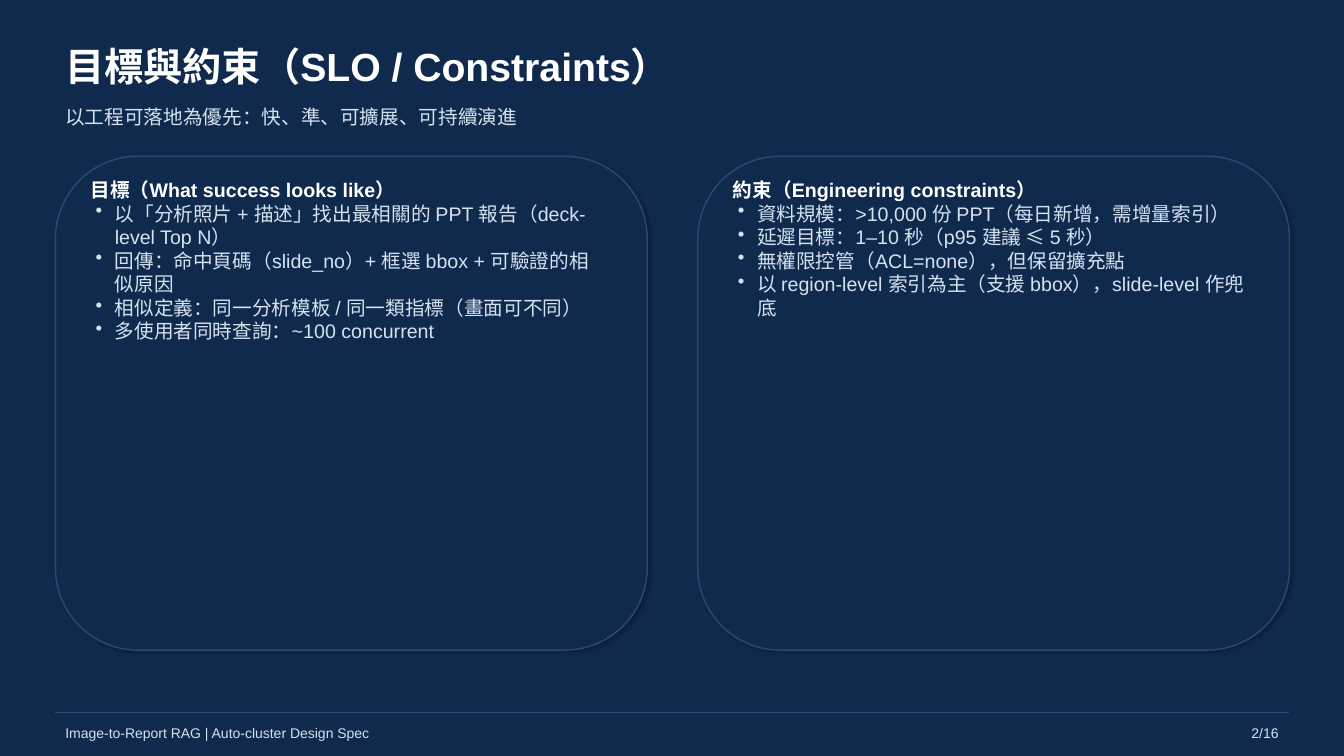
from dataclasses import dataclass

from lxml import etree
from pptx import Presentation
from pptx import util as u
from pptx.dml.color import RGBColor
from pptx.enum import shapes, text
from pptx.oxml import ns

NAVY = RGBColor(0x0F, 0x2A, 0x4D)
OUTLINE = RGBColor(0x2A, 0x4A, 0x74)
WHITE = RGBColor(0xFF, 0xFF, 0xFF)
PALE = RGBColor(0xD6, 0xE2, 0xF0)
FONT = "Arial"

MARGIN = 0.55
CONTENT_WIDTH = 12.23
CARD_TOP, CARD_WIDTH, CARD_HEIGHT = 1.55, 5.87, 4.9
CARD_STEP = 6.37
BULLET_INDENT = 0.19


@dataclass
class Label:
    wording: str
    left: float
    top: float
    width: float
    height: float
    size: int
    color: RGBColor = PALE
    bold: bool = False
    align: text.PP_ALIGN = text.PP_ALIGN.LEFT


@dataclass
class Card:
    heading: str
    bullets: list[str]


LABELS = [
    Label("目標與約束（SLO / Constraints）", MARGIN, 0.35, CONTENT_WIDTH, 0.6, 28, WHITE, True),
    Label("以工程可落地為優先：快、準、可擴展、可持續演進", MARGIN, 0.98, CONTENT_WIDTH, 0.35, 14),
    Label("Image-to-Report RAG | Auto-cluster Design Spec", MARGIN, 7.15, 10.73, 0.25, 10),
    Label("2/16", 11.78, 7.15, 1, 0.25, 10, align=text.PP_ALIGN.RIGHT),
]

CARDS = [
    Card("目標（What success looks like）", [
        "以「分析照片 + 描述」找出最相關的 PPT 報告（deck-level Top N）",
        "回傳：命中頁碼（slide_no）+ 框選 bbox + 可驗證的相似原因",
        "相似定義：同一分析模板 / 同一類指標（畫面可不同）",
        "多使用者同時查詢：~100 concurrent",
    ]),
    Card("約束（Engineering constraints）", [
        "資料規模：>10,000 份 PPT（每日新增，需增量索引）",
        "延遲目標：1–10 秒（p95 建議 ≤ 5 秒）",
        "無權限控管（ACL=none），但保留擴充點",
        "以 region-level 索引為主（支援 bbox），slide-level 作兜底",
    ]),
]


def add_label(slide, label: Label):
    """Add a text box and return its text frame."""
    box = slide.shapes.add_textbox(u.Inches(label.left), u.Inches(label.top),
                                   u.Inches(label.width), u.Inches(label.height))
    frame = box.text_frame
    frame.word_wrap = True
    frame.vertical_anchor = text.MSO_ANCHOR.MIDDLE
    frame.text = label.wording
    for paragraph in frame.paragraphs:
        paragraph.alignment = label.align
        for run in paragraph.runs:
            run.font.name = FONT
            run.font.size = u.Pt(label.size)
            run.font.bold = label.bold
            run.font.color.rgb = label.color
    return frame


def add_shadow(shape) -> None:
    """Give the shape a soft shadow towards the lower right."""
    shape.shadow.inherit = False
    effects = shape._element.spPr.find(ns.qn("a:effectLst"))
    shadow = etree.SubElement(effects, ns.qn("a:outerShdw"), blurRad=str(u.Pt(3)),
                              dist=str(u.Pt(2)), dir=str(45 * 60000))
    color = etree.SubElement(shadow, ns.qn("a:srgbClr"), val="000000")
    etree.SubElement(color, ns.qn("a:alpha"), val="25000")


def add_bullet(paragraph) -> None:
    """Set a hanging bullet."""
    properties = paragraph._p.get_or_add_pPr()
    properties.set("marL", str(u.Inches(BULLET_INDENT)))
    properties.set("indent", str(-u.Inches(BULLET_INDENT)))
    etree.SubElement(properties, ns.qn("a:buChar"), char="•")


def add_card(slide, card: Card, left: float) -> None:
    """Draw a rounded panel with its heading and bullet list."""
    panel = slide.shapes.add_shape(
        shapes.MSO_SHAPE.ROUNDED_RECTANGLE, u.Inches(left), u.Inches(CARD_TOP),
        u.Inches(CARD_WIDTH), u.Inches(CARD_HEIGHT))
    panel.fill.solid()
    panel.fill.fore_color.rgb = NAVY
    panel.line.color.rgb = OUTLINE
    panel.line.width = u.Pt(1)
    add_shadow(panel)

    add_label(slide, Label(card.heading, left + 0.25, CARD_TOP + 0.18,
                           CARD_WIDTH - 0.5, 0.3, 14, WHITE, True))
    bullet_list = add_label(slide, Label("\n".join(card.bullets), left + 0.3, CARD_TOP + 0.4,
                                         CARD_WIDTH - 0.6, 1.28, 14))
    bullet_list.vertical_anchor = text.MSO_ANCHOR.TOP
    for paragraph in bullet_list.paragraphs:
        add_bullet(paragraph)


def add_footer_rule(slide) -> None:
    """Draw the thin line above the footer."""
    y = u.Inches(7.07)
    rule = slide.shapes.add_connector(shapes.MSO_CONNECTOR.STRAIGHT, u.Inches(MARGIN), y,
                                      u.Inches(MARGIN + CONTENT_WIDTH), y)
    rule.line.color.rgb = OUTLINE
    rule.line.width = u.Pt(1)
    etree.SubElement(rule._element.spPr, ns.qn("a:effectLst"))


def main() -> None:
    presentation = Presentation()
    presentation.slide_width = u.Inches(13.33)
    presentation.slide_height = u.Inches(7.5)
    slide = presentation.slides.add_slide(presentation.slide_layouts[6])
    slide.background.fill.solid()
    slide.background.fill.fore_color.rgb = NAVY

    # Title, subtitle and footer text
    for label in LABELS:
        add_label(slide, label)

    # Goals and constraints
    for index, card in enumerate(CARDS):
        add_card(slide, card, MARGIN + index * CARD_STEP)

    add_footer_rule(slide)
    presentation.save("out.pptx")


if __name__ == "__main__":
    main()
